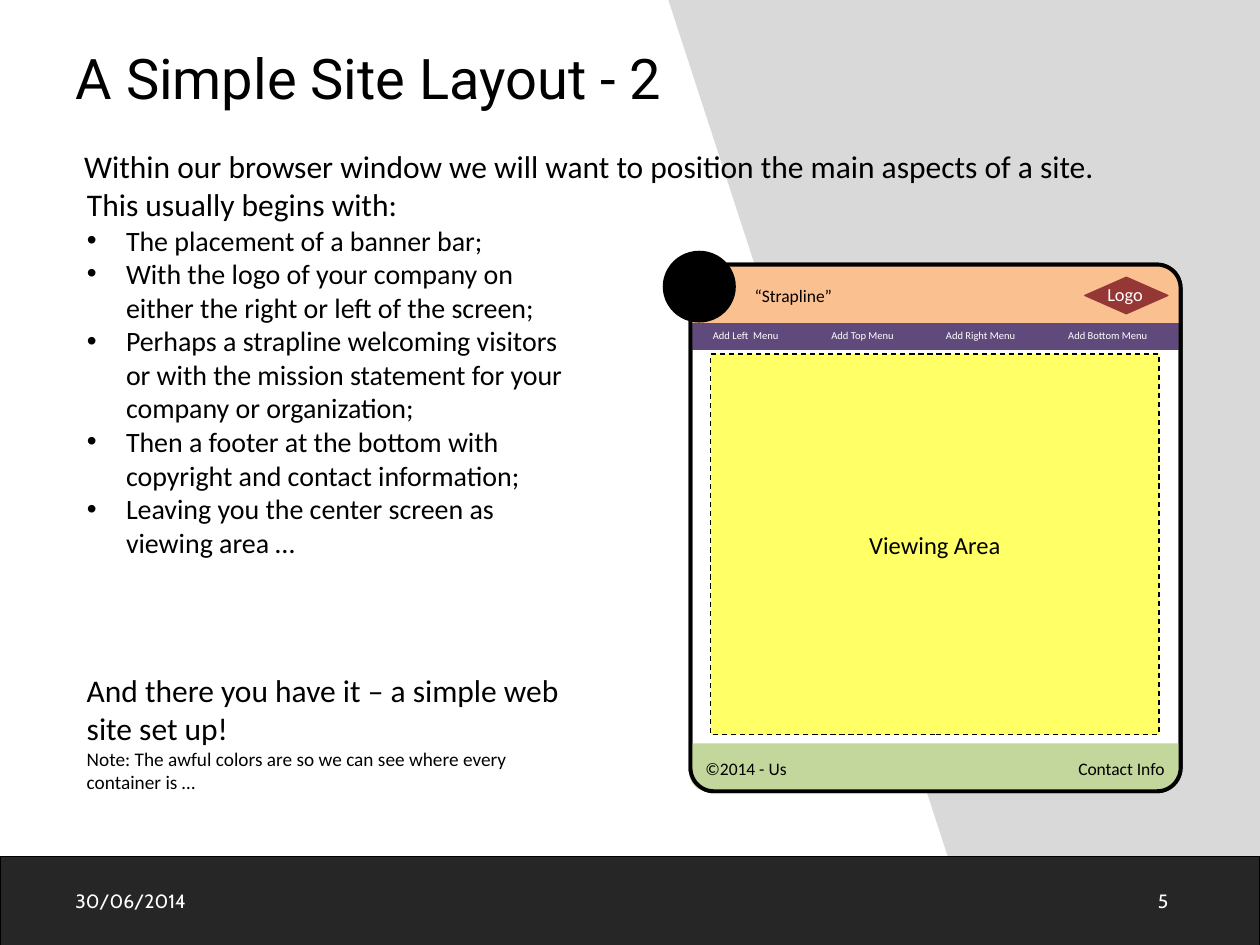
import pptx
import pptx.dml.color
import pptx.enum.dml
import pptx.enum.shapes
import pptx.enum.text
import pptx.oxml.ns
import pptx.util
from lxml import etree

Inches = pptx.util.Inches
rgb = pptx.dml.color.RGBColor.from_string
Shape = pptx.enum.shapes.MSO_SHAPE
Align = pptx.enum.text.PP_ALIGN
Anchor = pptx.enum.text.MSO_ANCHOR
AutoSize = pptx.enum.text.MSO_AUTO_SIZE


def write(frame, text, size=18, color="000000", font="Calibri", align=Align.LEFT, bullet=False):
    paragraph = frame.paragraphs[0]
    if paragraph.runs:
        paragraph = frame.add_paragraph()
    paragraph.alignment = align
    paragraph.space_before = pptx.util.Pt(0)
    properties = paragraph._p.get_or_add_pPr()
    indent = Inches(0.31) if bullet else 0
    properties.set("marL", str(indent))
    properties.set("indent", str(-indent))
    if bullet:
        bullet_font = etree.SubElement(properties, pptx.oxml.ns.qn("a:buFont"))
        bullet_font.set("typeface", "Arial")
        etree.SubElement(properties, pptx.oxml.ns.qn("a:buChar")).set("char", "•")
    else:
        etree.SubElement(properties, pptx.oxml.ns.qn("a:buNone"))
    run = paragraph.add_run()
    run.text = text
    run.font.size = pptx.util.Pt(size)
    run.font.name = font
    run.font.color.rgb = rgb(color)


def add_block(kind, left, top, width, height, fill=None, line=None, weight=0.75, corners=()):
    shape = slide.shapes.add_shape(kind, Inches(left), Inches(top), Inches(width), Inches(height))
    shape.shadow.inherit = False
    for index, value in enumerate(corners):
        shape.adjustments[index] = value
    if fill:
        shape.fill.solid()
        shape.fill.fore_color.rgb = rgb(fill)
    else:
        shape.fill.background()
    if line:
        shape.line.color.rgb = rgb(line)
        shape.line.width = pptx.util.Pt(weight)
    else:
        shape.line.fill.background()
    return shape


presentation = pptx.Presentation()
presentation.slide_width = Inches(10)
presentation.slide_height = Inches(7.5)
slide = presentation.slides.add_slide(presentation.slide_layouts[1])

builder = slide.shapes.build_freeform(Inches(10), Inches(7.51))
builder.add_line_segments([(Inches(x), Inches(y)) for x, y in [(7.76, 7.51), (5.31, 0), (10, 0)]])
backdrop = builder.convert_to_shape()
backdrop.shadow.inherit = False
backdrop.fill.solid()
backdrop.fill.fore_color.rgb = rgb("D9D9D9")
backdrop.line.color.rgb = rgb("D9D9D9")
backdrop.line.width = pptx.util.Pt(0.75)

add_block(Shape.RECTANGLE, 0, 6.8, 10, 0.72, "262626", "000000")

window = (5.48, 2.1, 3.89, 4.18)
add_block(Shape.ROUNDED_RECTANGLE, *window, fill="FFFFFF", line="000000", weight=2.25, corners=[0.048])
footer = add_block(Shape.ROUND_2_SAME_RECTANGLE, 5.47, 5.9, 3.9, 0.38, "C3D69B", corners=[0.384, 0])
footer.rotation = 180
add_block(Shape.ROUND_2_SAME_RECTANGLE, 5.49, 2.11, 3.87, 0.46, "FAC090", corners=[0.384, 0])
add_block(Shape.DIAMOND, 8.61, 2.2, 0.66, 0.29, "953735", "953735")
add_block(Shape.RECTANGLE, 5.49, 2.57, 3.88, 0.2, "604A7B", "604A7B")
add_block(Shape.ROUNDED_RECTANGLE, *window, line="000000", weight=2.25, corners=[0.048])
add_block(Shape.OVAL, 5.26, 1.99, 0.58, 0.57, "000000")

viewing_area = add_block(Shape.RECTANGLE, 5.64, 2.81, 3.56, 3.02, "FFFF66", "000000")
viewing_area.line.dash_style = pptx.enum.dml.MSO_LINE.DASH
viewing_area.text_frame.vertical_anchor = Anchor.MIDDLE
write(viewing_area.text_frame, "Viewing Area", size=14, align=Align.CENTER)

title, body = slide.placeholders
for placeholder, anchor, box in [
    (title, Anchor.MIDDLE, (0.5, 0.3, 7.3, 0.63)),
    (body, Anchor.TOP, (0.59, 1.42, 4, 3.1)),
]:
    placeholder.left, placeholder.top, placeholder.width, placeholder.height = map(Inches, box)
    placeholder.text_frame.auto_size = AutoSize.NONE
    placeholder.text_frame.vertical_anchor = anchor
    slide.shapes._spTree.append(placeholder._element)

write(title.text_frame, "A Simple Site Layout - 2", size=32, font="Roboto")
write(body.text_frame, "This usually begins with:")
for item in [
    "The placement of a banner bar;",
    "With the logo of your company on either the right or left of the screen;",
    "Perhaps a strapline welcoming visitors or with the mission statement for your company or organization;",
    "Then a footer at the bottom with copyright and contact information;",
    "Leaving you the center screen as viewing area …",
]:
    write(body.text_frame, item, size=16, bullet=True)

menu = {"size": 6, "color": "FFFFFF"}
small = {"size": 10}
slide_footer = {"size": 11, "color": "FFFFFF", "font": "Cabin"}
intro = "Within our browser window we will want to position the main aspects of a site."
closing = "And there you have it – a simple web site set up!"
note = "Note: The awful colors are so we can see where every container is …"
for left, top, width, height, wrap, anchor, paragraphs in [
    (0.5, 6.95, 2.33, 0.4, True, Anchor.MIDDLE, [("30/06/2014", slide_footer)]),
    (7.04, 6.95, 2.33, 0.4, True, Anchor.MIDDLE, [("5", {**slide_footer, "align": Align.RIGHT})]),
    (0.57, 1.12, 9.05, 0.4, True, Anchor.TOP, [(intro, {})]),
    (0.59, 5.28, 4, 1.11, True, Anchor.TOP, [(closing, {}), (note, {"size": 11})]),
    (8.69, 2.2, 0.5, 0.29, False, Anchor.TOP, [("Logo", {"size": 10.5, "color": "FFFFFF"})]),
    (5.89, 2.21, 0.83, 0.27, False, Anchor.TOP, [("“Strapline”", small)]),
    (5.5, 5.97, 0.85, 0.27, False, Anchor.TOP, [("©2014 - Us", small)]),
    (8.46, 5.97, 0.9, 0.27, False, Anchor.TOP, [("Contact Info", small)]),
    (5.56, 2.56, 0.73, 0.2, False, Anchor.TOP, [("Add Left  Menu", menu)]),
    (6.5, 2.56, 0.71, 0.2, False, Anchor.TOP, [("Add Top Menu", menu)]),
    (7.41, 2.56, 0.76, 0.2, False, Anchor.TOP, [("Add Right Menu", menu)]),
    (8.38, 2.56, 0.83, 0.2, False, Anchor.TOP, [("Add Bottom Menu", menu)]),
]:
    text_box = slide.shapes.add_textbox(Inches(left), Inches(top), Inches(width), Inches(height))
    text_box.text_frame.word_wrap = wrap
    text_box.text_frame.vertical_anchor = anchor
    for text, text_format in paragraphs:
        write(text_box.text_frame, text, **text_format)

presentation.save("out.pptx")
